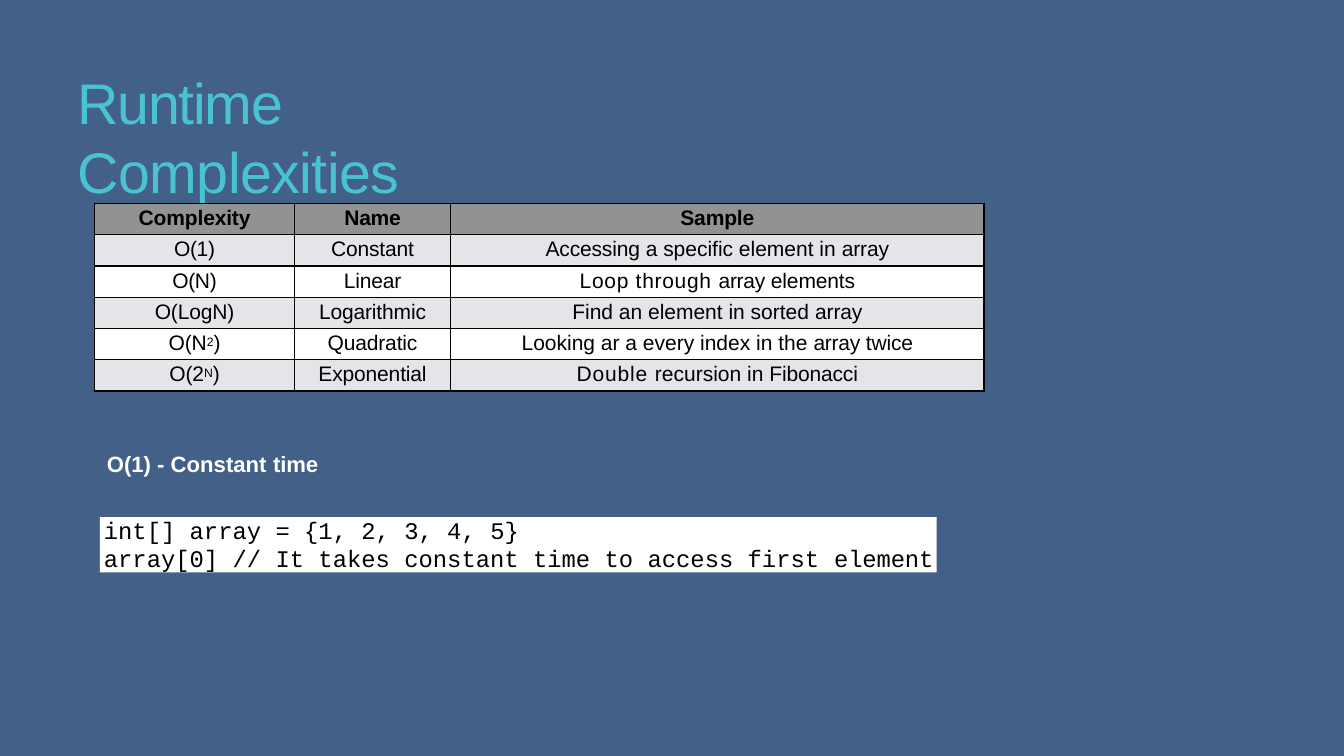
import pptx
import pptx.util
import pptx.dml.color
import pptx.enum.text
import pptx.oxml
import pptx.oxml.ns

Inches = pptx.util.Inches
Pt = pptx.util.Pt
RGBColor = pptx.dml.color.RGBColor
PP_ALIGN = pptx.enum.text.PP_ALIGN

BLUE = RGBColor(0x43, 0x60, 0x89)
TEAL = RGBColor(0x49, 0xC3, 0xD2)
BLACK = RGBColor(0, 0, 0)
WHITE = RGBColor(255, 255, 255)
HEADER_GRAY = RGBColor(0x92, 0x92, 0x92)
BAND_GRAY = RGBColor(0xE3, 0xE5, 0xE8)


def write_runs(paragraph, pieces, color, **font_format):
    for text, spacing, *baseline in pieces:
        run = paragraph.add_run()
        run.text = text
        run.font.color.rgb = color
        for attribute, value in font_format.items():
            setattr(run.font, attribute, value)
        properties = run.font._element
        properties.set("spc", str(round(spacing * 100)))
        if baseline:
            properties.set("baseline", str(baseline[0] * 1000))


def set_frame(frame, top_inset, indent):
    frame_format = {
        "margin_left": Inches(indent), "margin_top": Inches(top_inset),
        "margin_right": 0, "margin_bottom": 0, "word_wrap": True,
        "vertical_anchor": pptx.enum.text.MSO_ANCHOR.TOP,
        "auto_size": pptx.enum.text.MSO_AUTO_SIZE.SHAPE_TO_FIT_TEXT,
    }
    for attribute, value in frame_format.items():
        setattr(frame, attribute, value)


presentation = pptx.Presentation()
presentation.slide_width = Inches(13.33)
presentation.slide_height = Inches(7.5)
slide = presentation.slides.add_slide(presentation.slide_layouts[5])
slide.background.fill.solid()
slide.background.fill.fore_color.rgb = BLUE

title = slide.shapes.title
title_place = {"left": 0.76, "top": 0.66, "width": 5.37, "height": 0.7}
for attribute, value in title_place.items():
    setattr(title, attribute, Inches(value))
set_frame(title.text_frame, 0.01, 0.01)
title_line = title.text_frame.paragraphs[0]
title_line.alignment = PP_ALIGN.LEFT
title_line.space_before = Pt(0.7)
write_runs(title_line, [("Runtime ", -0.9), ("Complexities", -0.4)], TEAL,
           name="Arial", size=Pt(40.9))

complexities = [
    [[("Complexity", -0.1)], [("Name", -0.2)], [("Sample", -0.1)]],
    [[("O(1)", -0.2)], [("Constant", -0.1)],
     [("Accessing ", -0.1), ("a specific element in ", 0), ("array", -0.1)]],
    [[("O(N)", -0.2)], [("Linear", -0.1)],
     [("Loop through ", 0.5), ("array ", -0.2), ("elements", -0.1)]],
    [[("O(LogN)", -0.1)], [("Logarithmic", -0.1)],
     [("Find an element in sorted ", 0), ("array", -0.1)]],
    [[("O(N", -0.1), ("2", -0.1, 20), (")", -0.1)], [("Quadratic", -0.1)],
     [("Looking ar a every index in the ", 0), ("array ", -0.2), ("twice", -0.1)]],
    [[("O(2", -0.1), ("N", -0.1, 20), (")", -0.1)], [("Exponential", -0.1)],
     [("Double ", 0.6), ("recursion in ", 0), ("Fibonacci", -0.1)]],
]
complexity_table = slide.shapes.add_table(
    len(complexities), 3, Inches(0.94), Inches(2.02), Inches(8.82), Inches(1.86)).table
for column, width in zip(complexity_table.columns, (1.98, 1.55, 5.29)):
    column.width = Inches(width)

cell_format = {"margin_left": 0, "margin_top": Inches(0.03),
               "margin_right": 0, "margin_bottom": 0}
for row_index, entries in enumerate(complexities):
    is_header = row_index == 0
    row_fill = HEADER_GRAY if is_header else BAND_GRAY if row_index % 2 else WHITE
    for column_index, pieces in enumerate(entries):
        cell = complexity_table.cell(row_index, column_index)
        for attribute, value in cell_format.items():
            setattr(cell, attribute, value)
        entry = cell.text_frame.paragraphs[0]
        entry.alignment = PP_ALIGN.CENTER
        entry.space_before = Pt(4)
        write_runs(entry, pieces, BLACK, name="Arial", size=Pt(15), bold=is_header)
        cell_properties = cell._tc.get_or_add_tcPr()
        for side in ("lnL", "lnR", "lnT", "lnB"):
            cell_properties.append(pptx.oxml.parse_xml(
                f'<a:{side} {pptx.oxml.ns.nsdecls("a")} w="12700"><a:solidFill>'
                f'<a:srgbClr val="{BLACK}"/></a:solidFill></a:{side}>'))
        cell.fill.solid()
        cell.fill.fore_color.rgb = row_fill

heading = slide.shapes.add_textbox(Inches(1.05), Inches(4.46), Inches(2.13), Inches(0.28))
set_frame(heading.text_frame, 0.01, 0.01)
heading_line = heading.text_frame.paragraphs[0]
heading_line.space_before = Pt(0.8)
write_runs(heading_line, [("O(1) - Constant ", 0), ("time", -0.1)], WHITE,
           name="Arial", size=Pt(15.8), bold=True)

code_panel = slide.shapes.add_shape(
    pptx.enum.shapes.MSO_SHAPE.RECTANGLE, Inches(0.99), Inches(5.13), Inches(8.3), Inches(0.55))
code_panel.shadow.inherit = False
code_panel.fill.solid()
code_panel.fill.fore_color.rgb = WHITE
code_panel.line.fill.background()
set_frame(code_panel.text_frame, 0, 0.04)
code_lines = [
    (19.4, [("int[] array = {1, 2, 3, 4, ", 0), ("5}", -0.1)]),
    (19.7, [("array[0] // It takes constant time to access first ", 0), ("element", -0.1)]),
]
for index, (line_height, pieces) in enumerate(code_lines):
    code_line = (code_panel.text_frame.add_paragraph() if index
                 else code_panel.text_frame.paragraphs[0])
    code_line.alignment = PP_ALIGN.LEFT
    code_line.line_spacing = Pt(line_height)
    write_runs(code_line, pieces, BLACK, name="Courier New", size=Pt(17))

presentation.save("out.pptx")
